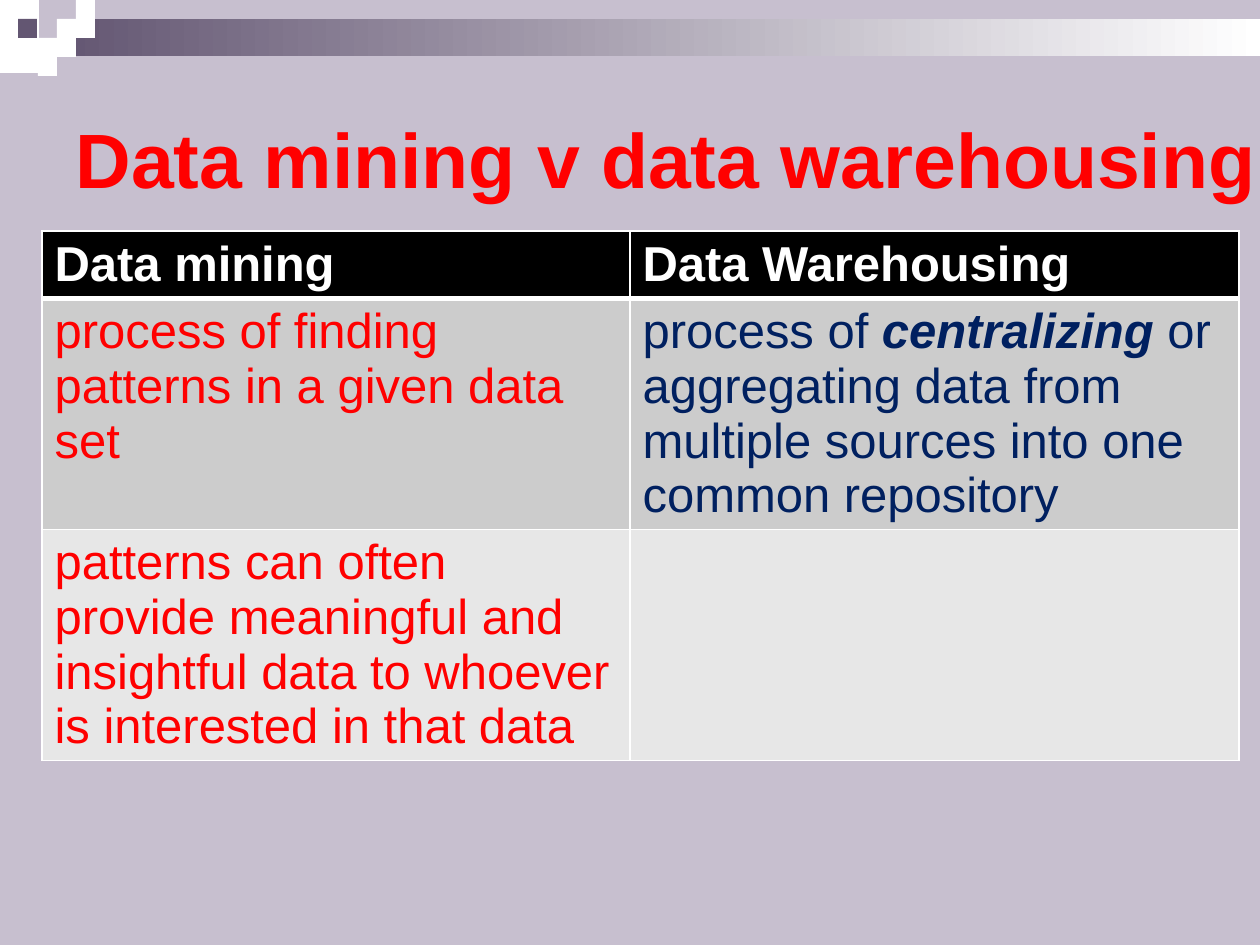
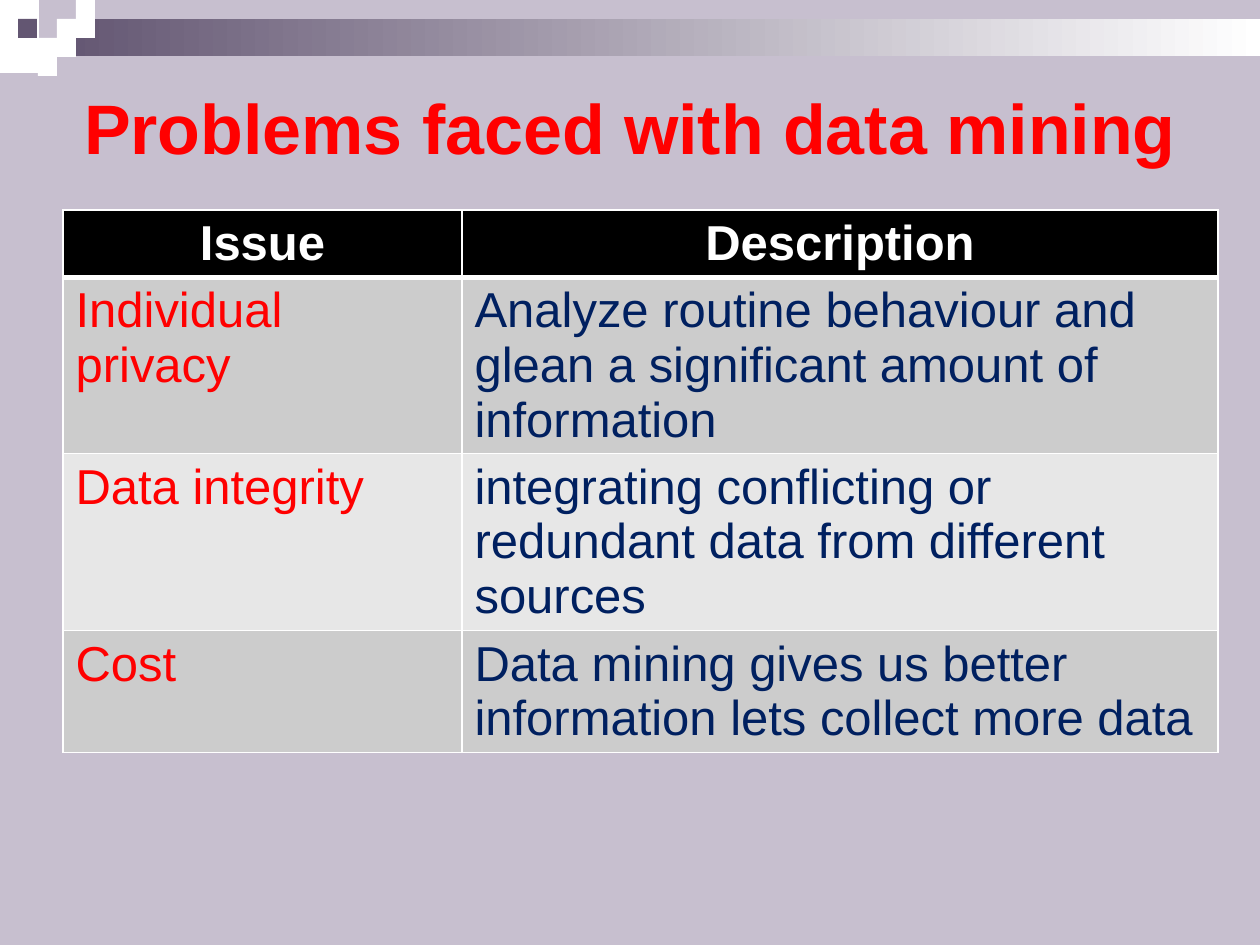
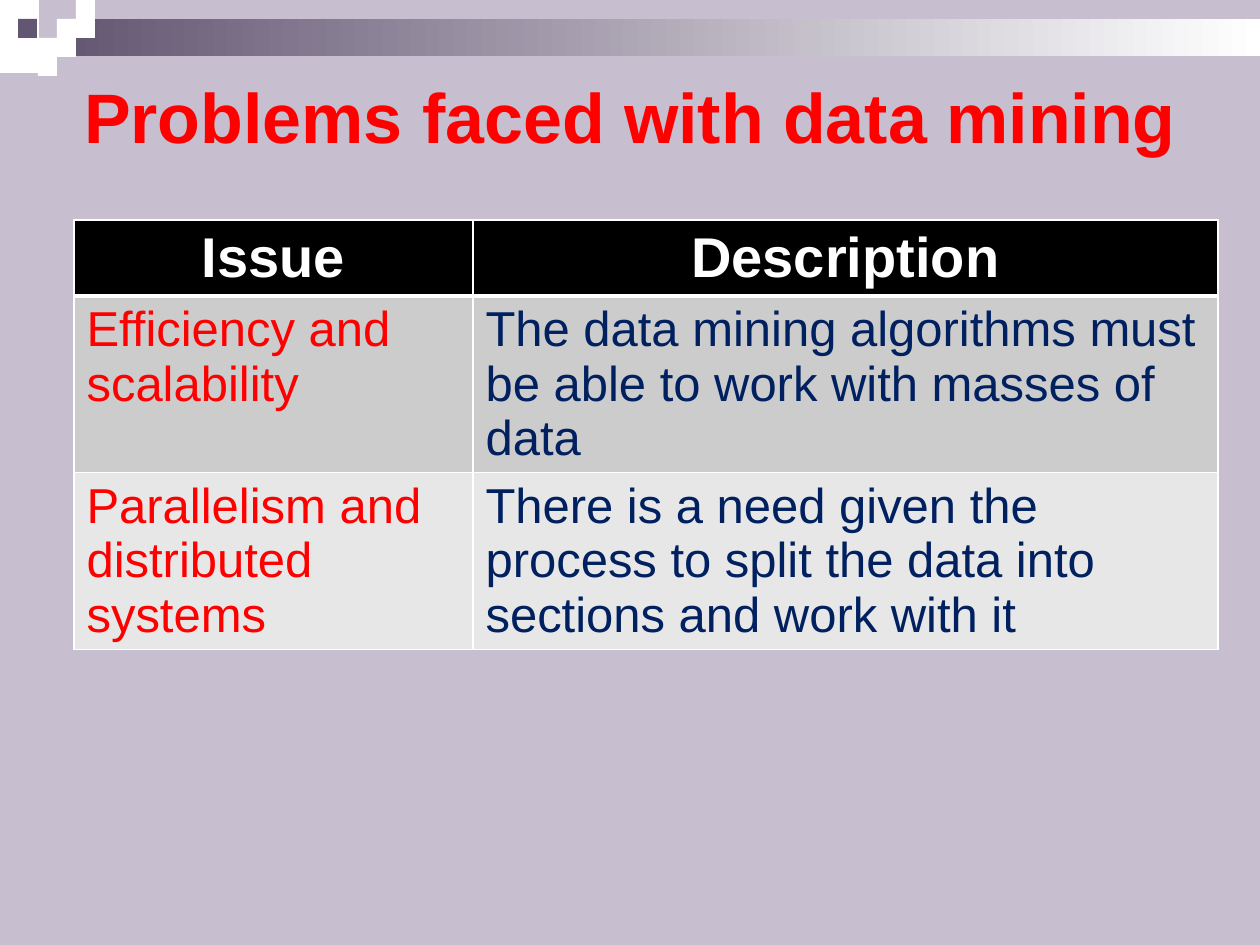
from lxml import etree
from pptx import Presentation
from pptx.dml.color import RGBColor
from pptx.enum.shapes import MSO_SHAPE
from pptx.enum.text import MSO_ANCHOR, MSO_AUTO_SIZE, PP_ALIGN
from pptx.oxml.ns import qn
from pptx.util import Emu, Pt

RECTANGLE = MSO_SHAPE.RECTANGLE
MIDDLE = MSO_ANCHOR.MIDDLE
NO_AUTOFIT = MSO_AUTO_SIZE.NONE
LEFT, CENTER = PP_ALIGN.LEFT, PP_ALIGN.CENTER

EMU_PER_PX = 914400 / 126
FONT = "Arial"
LILAC = RGBColor(0xC7, 0xBF, 0xCF)
PLUM = RGBColor(0x63, 0x56, 0x72)
WHITE = RGBColor(0xFF, 0xFF, 0xFF)
BLACK = RGBColor(0x00, 0x00, 0x00)
RED = RGBColor(0xFF, 0x00, 0x00)
NAVY = RGBColor(0x00, 0x20, 0x60)
ROW_FILLS = [RGBColor(0xCC, 0xCC, 0xCC), RGBColor(0xE7, 0xE7, 0xE7)]
COLUMN_COLORS = [RED, NAVY]
BODY_SIZE = 28

SQUARE = 19  # side of one square in the corner mosaic
MOSAIC = [(3, 1), (4, 0), (4, 1), (2, 2), (3, 2), (2, 3)]  # column, row

# Asterisks enclose emphasised words in a cell.
SLIDES = [
    {
        "title": "Data mining v data warehousing",
        "title_box": (63, 63, 1220, 189), "title_size": 44, "align": LEFT,
        "table_at": (42, 231), "columns": (588, 609),
        "rows": (67, 231, 231), "header_size": 28,
        "cells": [
            ("Data mining", "Data Warehousing"),
            ("process of finding patterns in a given data set",
             "process of *centralizing* or aggregating data from multiple "
             "sources into one common repository"),
            ("patterns can often provide meaningful and insightful data to "
             "whoever is interested in that data", ""),
        ],
    },
    {
        "title": "Problems faced with data mining",
        "title_box": (63, 32, 1134, 189), "title_size": 40, "align": CENTER,
        "table_at": (63, 210), "columns": (399, 756),
        "rows": (67, 176, 177, 122), "header_size": 28,
        "cells": [
            ("Issue", "Description"),
            ("Individual privacy",
             "Analyze routine behaviour and glean a significant amount of "
             "information"),
            ("Data integrity",
             "integrating conflicting or redundant data from different "
             "sources"),
            ("Cost",
             "Data mining gives us better information lets collect more "
             "data"),
        ],
    },
    {
        "title": "Problems faced with data mining",
        "title_box": (63, 21, 1134, 189), "title_size": 40, "align": CENTER,
        "table_at": (74, 220), "columns": (399, 745),
        "rows": (76, 176, 177), "header_size": 32,
        "cells": [
            ("Issue", "Description"),
            ("Efficiency and scalability",
             "The data mining algorithms must be able to work with masses "
             "of data"),
            ("Parallelism and distributed systems",
             "There is a need given the process to split the data into "
             "sections and work with it"),
        ],
    },
]


def px(length):
    return Emu(round(length * EMU_PER_PX))


def add_run(paragraph, text, size, color, bold, italic=False):
    run = paragraph.add_run()
    run.text = text
    font = run.font
    font.name, font.size, font.color.rgb = FONT, Pt(size), color
    font.bold, font.italic = bold, italic


prs = Presentation()
prs.slide_width, prs.slide_height = px(1260), px(945)
background = prs.slide_master.background.fill
background.solid()
background.fore_color.rgb = LILAC
layout = prs.slide_layouts[5]
slides = [prs.slides.add_slide(layout) for _ in SLIDES]

# The band and mosaic are drawn on the first slide, then moved to the layout.
decorations = [(0, 0, 39, 73, WHITE), (57, 19, 1203, 37, None)]
decorations += [(column * SQUARE, row * SQUARE, SQUARE, SQUARE, WHITE)
                for column, row in MOSAIC]
decorations.append((18, SQUARE, SQUARE, SQUARE, PLUM))
for left, top, width, height, color in decorations:
    block = slides[0].shapes.add_shape(
        RECTANGLE, px(left), px(top), px(width), px(height))
    block.shadow.inherit = False
    block.line.fill.background()
    if color is None:
        block.fill.gradient()
        block.fill.gradient_angle = 0
        for stop, stop_color in zip(block.fill.gradient_stops, (PLUM, WHITE)):
            stop.color.rgb = stop_color
    else:
        block.fill.solid()
        block.fill.fore_color.rgb = color
    layout.shapes.element.append(block.element)

for slide, content in zip(slides, SLIDES):
    title = slide.shapes.title
    title.left, title.top, title.width, title.height = map(
        px, content["title_box"])
    frame = title.text_frame
    frame.word_wrap = True
    frame.auto_size = NO_AUTOFIT
    frame.vertical_anchor = MIDDLE
    heading = frame.paragraphs[0]
    heading.alignment = content["align"]
    add_run(heading, content["title"], content["title_size"], RED, True)

    left, top = content["table_at"]
    columns, rows, cells = content["columns"], content["rows"], content["cells"]
    table = slide.shapes.add_table(
        len(rows), len(columns), px(left), px(top),
        px(sum(columns)), px(sum(rows))).table
    table.horz_banding = False
    table.first_row = False
    for column, width in zip(table.columns, columns):
        column.width = px(width)
    for row, height in zip(table.rows, rows):
        row.height = px(height)

    for r, texts in enumerate(cells):
        is_header = r == 0
        for c, text in enumerate(texts):
            cell = table.cell(r, c)
            borders = {"a:lnL": 1, "a:lnR": 1,
                       "a:lnT": 3 if r == 1 else 1,
                       "a:lnB": 3 if is_header else 1}
            properties = cell._tc.get_or_add_tcPr()
            for side, points in borders.items():
                line = etree.SubElement(properties, qn(side), w=str(Pt(points)))
                line_fill = etree.SubElement(line, qn("a:solidFill"))
                etree.SubElement(line_fill, qn("a:srgbClr"), val=str(WHITE))
            cell.fill.solid()
            cell.fill.fore_color.rgb = BLACK if is_header else ROW_FILLS[(r - 1) % 2]

            paragraph = cell.text_frame.paragraphs[0]
            paragraph.alignment = content["align"] if is_header else LEFT
            size = content["header_size"] if is_header else BODY_SIZE
            color = WHITE if is_header else COLUMN_COLORS[c]
            for i, part in enumerate(text.split("*")):
                emphasised = i % 2 == 1
                if part:
                    add_run(paragraph, part, size, color,
                            is_header or emphasised, emphasised)

prs.save("out.pptx")
